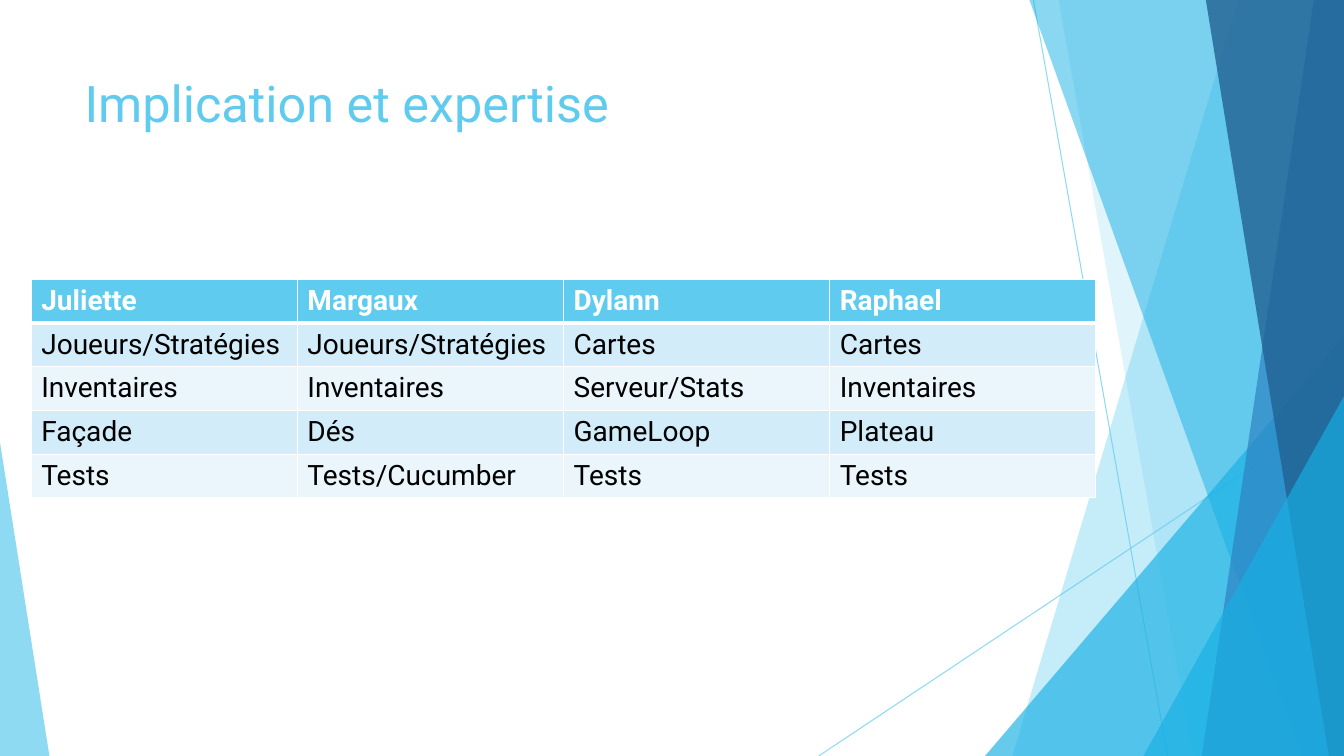
import pptx
import pptx.dml.color
import pptx.enum.shapes
import pptx.enum.text
import pptx.oxml.ns
import pptx.util
from lxml import etree

Inches = pptx.util.Inches
Pt = pptx.util.Pt
qn = pptx.oxml.ns.qn

WIDTH, HEIGHT = 13.33, 7.5
SKY, CYAN, BLUE, NAVY = "5FCBEF", "17B0E4", "2E83C3", "226292"
WHITE, BLACK = "FFFFFF", "000000"
BANDS = ("D2ECF9", "EAF6FC")


def rgb(value):
    return pptx.dml.color.RGBColor.from_string(value)


class Deck:
    font = "Roboto"

    def __init__(self):
        self.presentation = pptx.Presentation()
        self.presentation.slide_width = Inches(WIDTH)
        self.presentation.slide_height = Inches(HEIGHT)
        self.slide = self.presentation.slides.add_slide(self.presentation.slide_layouts[6])
        self.shapes = self.slide.shapes

    def set_opacity(self, shape, percent):
        for color in shape._element.spPr.iter(qn("a:srgbClr")):
            etree.SubElement(color, qn("a:alpha"), val=str(percent * 1000))

    def paint(self, shape, color, opacity):
        shape.shadow.inherit = False
        shape.fill.solid()
        shape.fill.fore_color.rgb = rgb(color)
        shape.line.fill.background()
        self.set_opacity(shape, opacity)

    def line(self, start, end, color, opacity):
        line = self.shapes.add_connector(
            pptx.enum.shapes.MSO_CONNECTOR.STRAIGHT, *map(Inches, start + end))
        line.line.color.rgb = rgb(color)
        line.line.width = Pt(0.75)
        self.set_opacity(line, opacity)
        etree.SubElement(line._element.spPr, qn("a:effectLst"))

    def ray(self, top_x, bottom_x, color, opacity):
        """Band from a slanted left edge to the right side of the slide."""
        corners = [(top_x, 0), (WIDTH, 0), (WIDTH, HEIGHT), (bottom_x, HEIGHT)]
        points = [(Inches(x), Inches(y)) for x, y in corners]
        builder = self.shapes.build_freeform(*points[0])
        builder.add_line_segments(points[1:], close=True)
        self.paint(builder.convert_to_shape(), color, opacity)

    def corner(self, left, top, width, apex, color, opacity):
        """Triangle standing on the bottom of the slide; apex 0 is left, 1 right."""
        triangle = self.shapes.add_shape(
            pptx.enum.shapes.MSO_SHAPE.ISOSCELES_TRIANGLE,
            *map(Inches, (left, top, width, HEIGHT - top)))
        triangle.adjustments[0] = apex
        self.paint(triangle, color, opacity)

    def set_text(self, frame, text, size, color, bold=False):
        paragraph = frame.paragraphs[0]
        paragraph.text = text
        paragraph.font.name = self.font
        paragraph.font.size = Pt(size)
        paragraph.font.bold = bold
        paragraph.font.color.rgb = rgb(color)

    def title(self, text, left, top, width, height):
        box = self.shapes.add_textbox(*map(Inches, (left, top, width, height)))
        box.text_frame.word_wrap = True
        box.text_frame.vertical_anchor = pptx.enum.text.MSO_ANCHOR.TOP
        self.set_text(box.text_frame, text, 36, SKY)

    def border(self, cell, side, points):
        edge = etree.SubElement(cell._tc.get_or_add_tcPr(), qn(f"a:ln{side}"), w=str(Pt(points)))
        fill = etree.SubElement(edge, qn("a:solidFill"))
        etree.SubElement(fill, qn("a:srgbClr"), val=WHITE)

    def table(self, rows, left, top, column_width, row_height):
        table = self.shapes.add_table(
            len(rows), len(rows[0]), Inches(left), Inches(top),
            Inches(column_width * len(rows[0])), Inches(row_height * len(rows))).table
        for column in table.columns:
            column.width = Inches(column_width)
        for r, row in enumerate(rows):
            table.rows[r].height = Inches(row_height)
            header = r == 0
            # The rule under the header is thicker than the others
            edges = {"L": 1, "R": 1, "T": 3 if r == 1 else 1, "B": 3 if header else 1}
            for c, text in enumerate(row):
                cell = table.cell(r, c)
                for side, points in edges.items():
                    self.border(cell, side, points)
                cell.fill.solid()
                cell.fill.fore_color.rgb = rgb(SKY if header else BANDS[(r - 1) % 2])
                self.set_text(cell.text_frame, text, 20, WHITE if header else BLACK, header)


def main():
    deck = Deck()

    # Faceted background
    deck.line((10.25, 0), (11.58, HEIGHT), SKY, 70)
    deck.line((WIDTH, 4.03), (8.12, HEIGHT), SKY, 70)
    deck.ray(12.28, 10.04, SKY, 36)
    deck.ray(10.5, 11.83, SKY, 20)
    deck.corner(9.77, 3.33, 3.56, 1, CYAN, 66)
    deck.ray(10.21, 12.91, CYAN, 50)
    deck.ray(13.03, 11.92, BLUE, 70)
    deck.ray(11.96, 13.18, NAVY, 80)
    deck.corner(11.34, 3.93, 1.99, 1, CYAN, 66)
    deck.corner(0, 4.39, 0.49, 0, SKY, 70)

    # Title
    deck.title("Implication et expertise", 0.74, 0.67, 9.4, 1.44)

    # Who worked on what
    contributions = [
        ("Juliette", "Margaux", "Dylann", "Raphael"),
        ("Joueurs/Stratégies", "Joueurs/Stratégies", "Cartes", "Cartes"),
        ("Inventaires", "Inventaires", "Serveur/Stats", "Inventaires"),
        ("Façade", "Dés", "GameLoop", "Plateau"),
        ("Tests", "Tests/Cucumber", "Tests", "Tests"),
    ]
    deck.table(contributions, 0.31, 2.77, 2.64, 0.41)

    deck.presentation.save("out.pptx")


if __name__ == "__main__":
    main()
